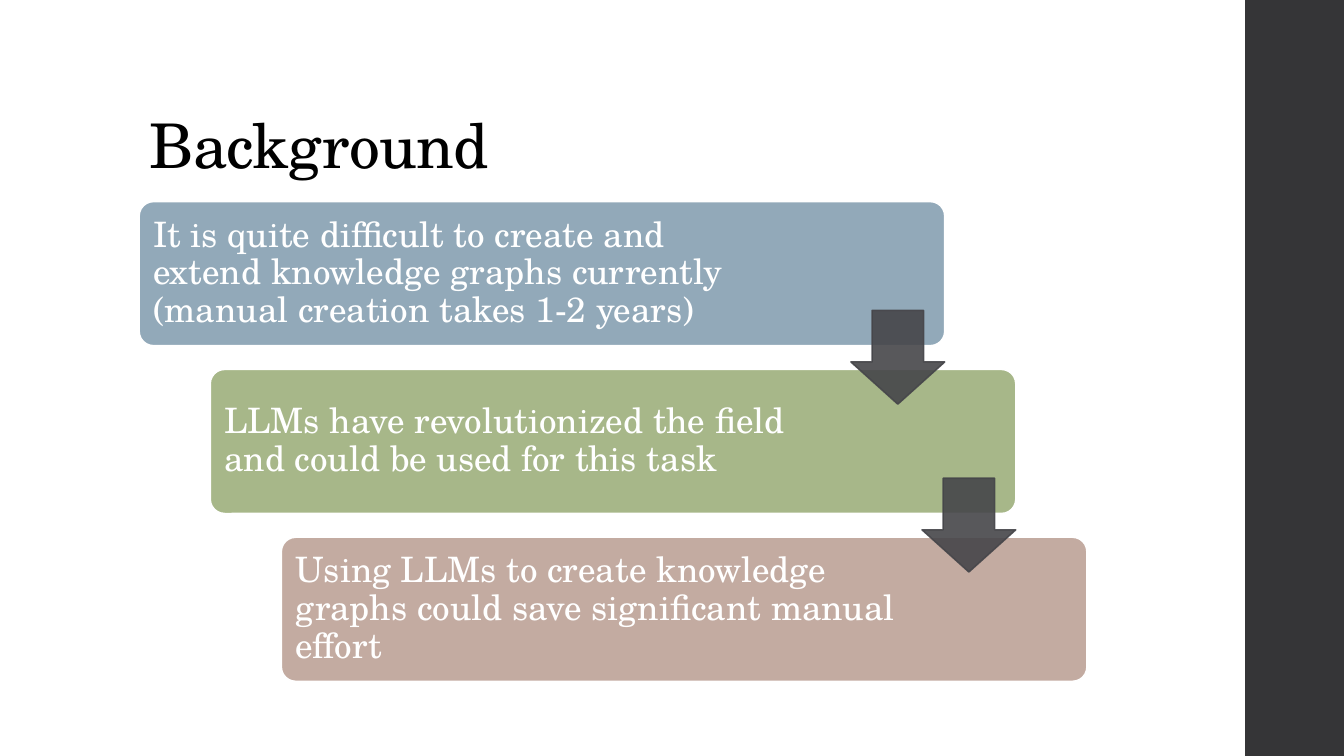
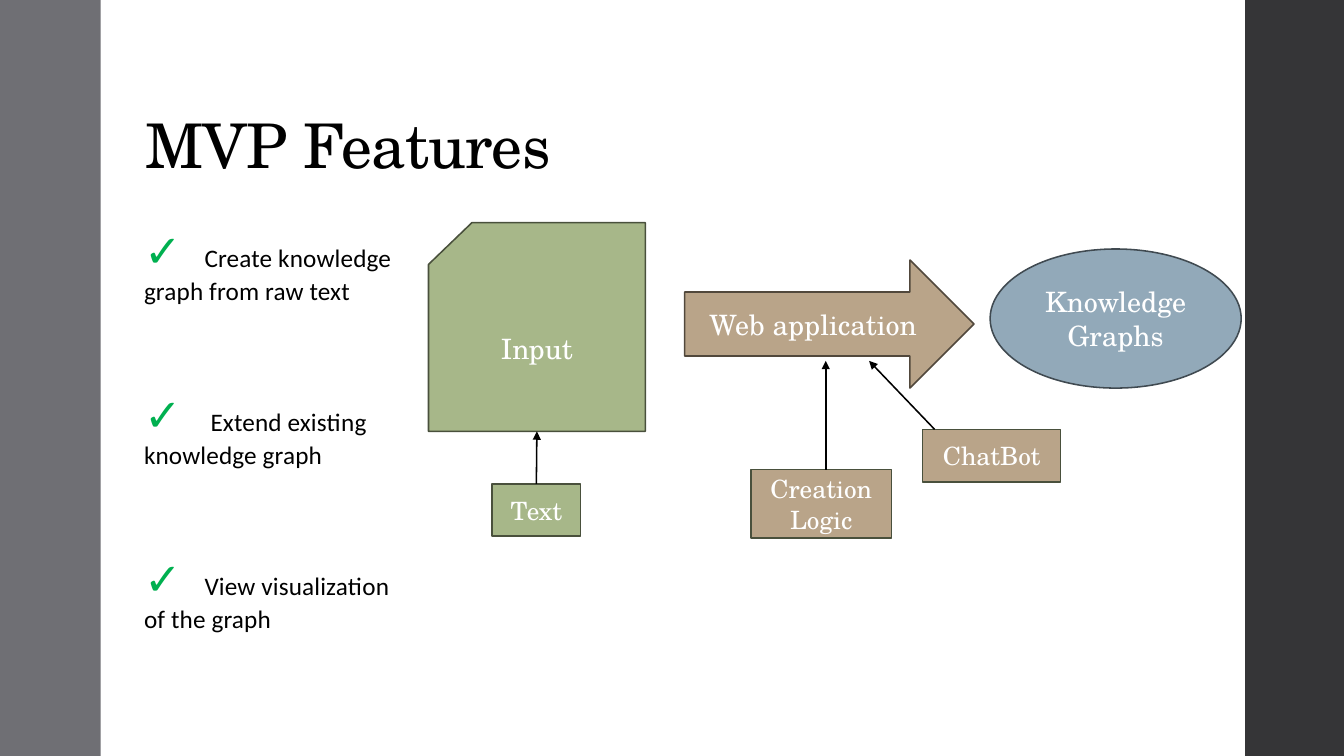
import pptx
import pptx.util
import pptx.dml.color
import pptx.enum.shapes
import pptx.enum.text
import pptx.oxml
import pptx.oxml.ns

Inches = pptx.util.Inches
Pt = pptx.util.Pt
RGBColor = pptx.dml.color.RGBColor
MSO_SHAPE = pptx.enum.shapes.MSO_SHAPE
ALIGN = pptx.enum.text.PP_ALIGN
ANCHOR = pptx.enum.text.MSO_ANCHOR
qn = pptx.oxml.ns.qn

SLIDE_WIDTH, SLIDE_HEIGHT = 13.33, 7.5
BAND_WIDTH = 1
SERIF, SANS = "TeX Gyre Schola", "Calibri"

BLACK = RGBColor(0x00, 0x00, 0x00)
WHITE = RGBColor(0xFF, 0xFF, 0xFF)
CHARCOAL = RGBColor(0x35, 0x35, 0x37)
GRAY = RGBColor(0x6F, 0x6F, 0x74)
SLATE = RGBColor(0x46, 0x46, 0x4A)
BLUE = RGBColor(0x92, 0xA9, 0xB9)
DARK_BLUE = RGBColor(0x40, 0x4A, 0x51)
GREEN = RGBColor(0xA7, 0xB7, 0x89)
DARK_GREEN = RGBColor(0x49, 0x50, 0x3C)
ROSE = RGBColor(0xC3, 0xAB, 0xA1)
TAN = RGBColor(0xB9, 0xA4, 0x89)
DARK_TAN = RGBColor(0x51, 0x48, 0x3C)
CHECK_GREEN = RGBColor(0x00, 0xB0, 0x50)

STEPS = [
    ("It is quite difficult to create and extend knowledge graphs currently "
     "(manual creation takes 1-2 years)", BLUE),
    ("LLMs have revolutionized the field and could be used for this task", GREEN),
    ("Using LLMs to create knowledge graphs could save significant manual effort", ROSE),
]
STEP_LEFT, STEP_TOP, STEP_WIDTH, STEP_HEIGHT = 1.38, 2, 7.99, 1.43
STEP_SHIFT, STEP_PITCH = 1.41 / 2, 3.33 / 2
ARROW_SIZE, ARROW_DROP = 0.93, 1.08

FEATURES = [
    ("Create knowledge graph from raw text", 0.6),
    ("Extend existing knowledge graph", 0.66),
    ("View visualization of the graph", 0.6),
]
NODES = {
    "application": ("Web application", MSO_SHAPE.RIGHT_ARROW, (6.79, 2.58, 2.87, 1.27), TAN, DARK_TAN, 20),
    "input": ("Input", MSO_SHAPE.FLOWCHART_CARD, (4.25, 2.21, 2.15, 2.07), GREEN, DARK_GREEN, 20),
    "graphs": ("Knowledge Graphs", MSO_SHAPE.OVAL, (9.82, 2.47, 2.49, 1.38), BLUE, DARK_BLUE, 20),
    "text": ("Text", MSO_SHAPE.RECTANGLE, (4.88, 4.8, 0.88, 0.52), GREEN, DARK_GREEN, 18),
    "model": ("ChatBot", MSO_SHAPE.RECTANGLE, (9.15, 4.26, 1.37, 0.52), TAN, DARK_GREEN, 18),
    "logic": ("Creation Logic", MSO_SHAPE.RECTANGLE, (7.45, 4.66, 1.39, 0.68), TAN, DARK_GREEN, 18),
}
ARROWS = [
    ((5.32, 4.8), (5.32, 4.28), "text", "input"),
    ((9.27, 4.26), (8.62, 3.58), None, None),
    ((8.19, 4.66), (8.19, 3.58), None, None),
]


def write_text(paragraph, text, font=SERIF, size=18, color=WHITE, bold=False,
               align=ALIGN.LEFT, line_spacing=1.0, spacing=0):
    paragraph.alignment = align
    paragraph.line_spacing = line_spacing
    run = paragraph.add_run()
    run.text = text
    run.font.name, run.font.size, run.font.bold = font, Pt(size), bold
    run.font.color.rgb = color
    if spacing:
        run.font._element.set("spc", str(int(spacing * 100)))


def add_box(slide, kind, place, fill, line=None, alpha=None):
    shape = slide.shapes.add_shape(kind, *map(Inches, place))
    shape.shadow.inherit = False
    shape.fill.solid()
    shape.fill.fore_color.rgb = fill
    if line is None:
        shape.line.fill.background()
    else:
        shape.line.color.rgb = line
        shape.line.width = Pt(1.1)
    if alpha:
        for color in shape._element.spPr.iter(qn("a:srgbClr")):
            color.append(color.makeelement(qn("a:alpha"), {"val": str(alpha * 1000)}))
    shape.text_frame.word_wrap = True
    shape.text_frame.vertical_anchor = ANCHOR.MIDDLE
    return shape


def add_arrow(slide, start, end, source=None, target=None):
    points = map(Inches, start + end)
    connector = slide.shapes.add_connector(pptx.enum.shapes.MSO_CONNECTOR.STRAIGHT, *points)
    if source is not None:
        connector.begin_connect(source, 0)
        connector.end_connect(target, 2)
    connector.line.color.rgb = BLACK
    connector.line.width = Pt(1.1)
    properties = connector._element.spPr
    outline = properties.find(qn("a:ln"))
    outline.append(outline.makeelement(qn("a:tailEnd"), {"type": "triangle"}))
    properties.append(properties.makeelement(qn("a:effectLst"), {}))


def add_slide(presentation, title, left, width):
    slide = presentation.slides.add_slide(presentation.slide_layouts[5])
    add_box(slide, MSO_SHAPE.RECTANGLE, (12.35, 0, BAND_WIDTH, SLIDE_HEIGHT), CHARCOAL)
    shape = slide.shapes.title
    shape.left, shape.top, shape.width, shape.height = map(Inches, (left, 0.4, width, 1.45))
    frame = shape.text_frame
    frame.auto_size = pptx.enum.text.MSO_AUTO_SIZE.NONE
    frame.vertical_anchor = ANCHOR.BOTTOM
    write_text(frame.paragraphs[0], title, size=44, color=BLACK, line_spacing=0.9, spacing=-0.5)
    return slide


def build_background(presentation):
    slide = add_slide(presentation, "Background", 1.38, 10.6)
    corners = [(STEP_LEFT + index * STEP_SHIFT, STEP_TOP + index * STEP_PITCH)
               for index in range(len(STEPS))]
    for (text, fill), (left, top) in zip(STEPS, corners):
        shape = add_box(slide, MSO_SHAPE.ROUNDED_RECTANGLE,
                        (left, top, STEP_WIDTH, STEP_HEIGHT), fill, WHITE)
        shape.adjustments[0] = 0.1
        shape.text_frame.margin_right = Inches(1.74)
        write_text(shape.text_frame.paragraphs[0], text, size=25, line_spacing=0.9)
    for left, top in corners[:-1]:
        place = (left + STEP_WIDTH - ARROW_SIZE, top + ARROW_DROP, ARROW_SIZE, ARROW_SIZE)
        arrow = add_box(slide, MSO_SHAPE.DOWN_ARROW, place, SLATE, SLATE, alpha=90)
        arrow.adjustments[0], arrow.adjustments[1] = 0.55, 0.45


def add_features(slide):
    frame = slide.shapes.add_textbox(*map(Inches, (1.33, 2.2, 2.75, 5))).text_frame
    frame.word_wrap = True
    for index, (text, indent) in enumerate(FEATURES):
        paragraph = frame.add_paragraph() if index else frame.paragraphs[0]
        paragraph.space_after = Pt(60)
        write_text(paragraph, "✓", font=SANS, size=32, color=CHECK_GREEN, bold=True, line_spacing=0.95)
        write_text(paragraph, "\t" + text, font=SANS, color=BLACK, line_spacing=0.95, spacing=0.1)
        properties = paragraph._p.get_or_add_pPr()
        tabs = properties.makeelement(qn("a:tabLst"), {})
        tabs.append(tabs.makeelement(qn("a:tab"), {"pos": str(Inches(indent)), "algn": "l"}))
        properties.append(tabs)


def build_features(presentation):
    slide = add_slide(presentation, "MVP Features", 1.34, 6.56)
    add_box(slide, MSO_SHAPE.RECTANGLE, (0, 0, BAND_WIDTH, SLIDE_HEIGHT), GRAY)
    add_features(slide)
    shapes = {}
    for name, (text, kind, place, fill, line, size) in NODES.items():
        shapes[name] = add_box(slide, kind, place, fill, line)
        write_text(shapes[name].text_frame.paragraphs[0], text, size=size, align=ALIGN.CENTER)
    for start, end, source, target in ARROWS:
        add_arrow(slide, start, end, shapes.get(source), shapes.get(target))


def main():
    presentation = pptx.Presentation()
    presentation.slide_width = Inches(SLIDE_WIDTH)
    presentation.slide_height = Inches(SLIDE_HEIGHT)
    build_background(presentation)
    build_features(presentation)
    presentation.save("out.pptx")


if __name__ == "__main__":
    main()
